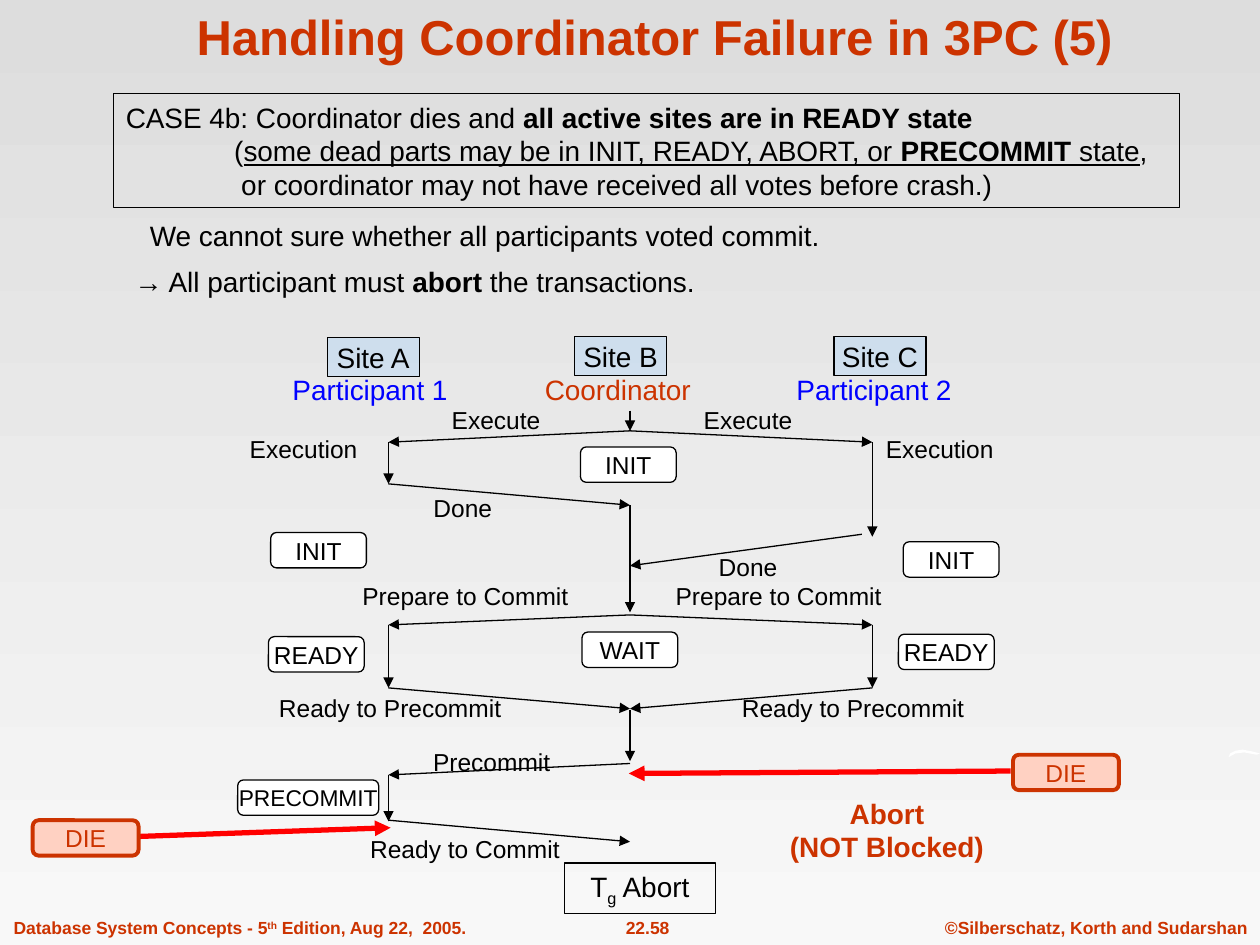
from dataclasses import dataclass
from typing import Optional

from lxml.etree import SubElement
from pptx import Presentation
from pptx.dml.color import RGBColor
from pptx.enum.shapes import MSO_CONNECTOR, MSO_SHAPE
from pptx.enum.text import MSO_ANCHOR, MSO_AUTO_SIZE, PP_ALIGN
from pptx.oxml.ns import qn
from pptx.util import Pt

BLACK = RGBColor(0x00, 0x00, 0x00)
WHITE = RGBColor(0xFF, 0xFF, 0xFF)
RUST = RGBColor(0xCC, 0x33, 0x00)
BLUE = RGBColor(0x00, 0x00, 0xFF)
RED = RGBColor(0xFF, 0x00, 0x00)
SKY = RGBColor(0x99, 0xCC, 0xFF)
PEACH = RGBColor(0xFF, 0xD1, 0xC2)
GRADIENT = (RGBColor(0xDD, 0xDD, 0xDD), RGBColor(0xF8, 0xF8, 0xF8))
FONT = "Arial"

# Timelines of the three sites
SITE_A, SITE_B, SITE_C = 222, 360, 498.5


@dataclass
class Words:
    text: str
    bold: bool = False
    underline: bool = False
    baseline: int = 0  # percent; positive raises


@dataclass
class Label:
    text: str
    center: float
    middle: float
    size: float = 14
    color: RGBColor = BLACK


@dataclass
class Box:
    words: list[Words]
    left: float
    top: float
    width: float = 54.7
    height: float = 20.2
    size: float = 14
    color: RGBColor = BLACK
    fill: Optional[RGBColor] = WHITE
    line: RGBColor = BLACK
    weight: float = 0.75
    kind: MSO_SHAPE = MSO_SHAPE.ROUNDED_RECTANGLE
    opacity: int = 100


@dataclass
class Arrow:
    x1: float
    y1: float
    x2: float
    y2: float
    color: RGBColor = BLACK
    weight: float = 0.75


def add_words(paragraph, words: list[Words], size: float, color: RGBColor) -> None:
    for part in words:
        run = paragraph.add_run()
        run.text = part.text
        font = run.font
        font.name, font.size, font.bold = FONT, Pt(size), part.bold
        font.underline = part.underline
        font.color.rgb = color
        if part.baseline:
            run._r.get_or_add_rPr().set("baseline", str(part.baseline * 1000))


def add_lines(frame, lines: list[list[Words]], size: float, color: RGBColor,
              align=PP_ALIGN.LEFT, indents: tuple = ()) -> None:
    for i, words in enumerate(lines):
        paragraph = frame.paragraphs[0] if i == 0 else frame.add_paragraph()
        paragraph.alignment = align
        if indents:
            paragraph._p.get_or_add_pPr().set("marL", str(Pt(indents[i])))
        add_words(paragraph, words, size, color)


def add_text(slide, left, top, width, height, lines, size, color,
             align=PP_ALIGN.LEFT, indents=(), wrap=False):
    frame = slide.shapes.add_textbox(Pt(left), Pt(top), Pt(width), Pt(height)).text_frame
    frame.word_wrap = wrap
    add_lines(frame, lines, size, color, align, indents)
    return frame


def add_label(slide, label: Label) -> None:
    width, height = len(label.text) * label.size * 0.52 + 8, label.size * 1.2
    frame = add_text(slide, label.center - width / 2, label.middle - height / 2, width,
                     height, [[Words(label.text)]], label.size, label.color, PP_ALIGN.CENTER)
    frame.margin_top = frame.margin_bottom = frame.margin_left = frame.margin_right = 0
    frame.vertical_anchor = MSO_ANCHOR.MIDDLE


def add_box(slide, box: Box):
    shape = slide.shapes.add_shape(box.kind, Pt(box.left), Pt(box.top),
                                   Pt(box.width), Pt(box.height))
    shape.shadow.inherit = False
    if box.fill is None:
        shape.fill.background()
    else:
        shape.fill.solid()
        shape.fill.fore_color.rgb = box.fill
        if box.opacity < 100:
            color = shape._element.spPr.find(qn("a:solidFill"))[0]
            SubElement(color, qn("a:alpha")).set("val", str(box.opacity * 1000))
    shape.line.color.rgb = box.line
    shape.line.width = Pt(box.weight)
    frame = shape.text_frame
    frame.word_wrap = False
    frame.vertical_anchor = MSO_ANCHOR.MIDDLE
    if box.words:
        add_lines(frame, [box.words], box.size, box.color, PP_ALIGN.CENTER)
    return shape


def add_arrow(slide, arrow: Arrow) -> None:
    connector = slide.shapes.add_connector(MSO_CONNECTOR.STRAIGHT, Pt(arrow.x1), Pt(arrow.y1),
                                           Pt(arrow.x2), Pt(arrow.y2))
    connector.line.color.rgb = arrow.color
    connector.line.width = Pt(arrow.weight)
    SubElement(connector.line._get_or_add_ln(), qn("a:tailEnd")).set("type", "triangle")
    SubElement(connector._element.spPr, qn("a:effectLst"))


def site(name: str, left: float, top: float) -> Box:
    return Box([Words(name)], left, top, 52.6, 22.3, 16, fill=SKY,
               kind=MSO_SHAPE.RECTANGLE, opacity=30)


def die(left: float, top: float) -> Box:
    return Box([Words("DIE")], left, top, 60.5, color=RUST, fill=PEACH, line=RUST, weight=2.25)


LABELS = [
    Label("Participant 1", 211.5, 222.3, 16, BLUE),
    Label("Coordinator", 353, 222.3, 16, RUST),
    Label("Participant 2", 499.5, 222.3, 16, BLUE),
    Label("Execute", 283.5, 240), Label("Execute", 427.5, 240),
    Label("Execution", 173.5, 256.6), Label("Execution", 537, 256.6),
    Label("Done", 264.5, 290.3), Label("Done", 427.5, 324),
    Label("Prepare to Commit", 266, 340.6), Label("Prepare to Commit", 445, 340.6),
    Label("Ready to Precommit", 223, 404.6), Label("Ready to Precommit", 487.5, 404.6),
    Label("Precommit", 281, 435), Label("Ready to Commit", 265.7, 485),
]

ARROWS = [
    # Execute and done
    Arrow(SITE_B, 234.7, SITE_B, 246.2),
    Arrow(SITE_B, 246.2, SITE_A, 252.7), Arrow(SITE_B, 246.2, SITE_C, 252.7),
    Arrow(SITE_A, 252.7, SITE_A, 276.5), Arrow(SITE_C, 252.7, SITE_C, 306.7),
    Arrow(SITE_A, 276.5, SITE_B, 288.7), Arrow(492.5, 305.3, SITE_B, 323.3),
    Arrow(SITE_B, 288.7, SITE_B, 350),
    # Prepare and ready
    Arrow(SITE_B, 351.4, SITE_A, 357.1), Arrow(SITE_B, 351.4, SITE_C, 357.1),
    Arrow(SITE_A, 357.1, SITE_A, 393.1), Arrow(SITE_C, 357.1, SITE_C, 393.1),
    Arrow(SITE_A, 393.1, SITE_B, 405), Arrow(SITE_C, 393.1, SITE_B, 405),
    Arrow(SITE_B, 406, SITE_B, 435),
    # Precommit and failures
    Arrow(SITE_B, 436.3, SITE_A, 442.8), Arrow(SITE_A, 442.8, SITE_A, 469.4),
    Arrow(SITE_A, 468.7, SITE_B, 481),
    Arrow(577.5, 440.6, 359.3, 442, RED, 3), Arrow(79.2, 478, 223.2, 473, RED, 3),
]

BOXES = [
    site("Site A", 187, 192.8), site("Site B", 328.3, 192.2), site("Site C", 476.6, 192.2),
    Box([Words("INIT")], 331.7, 255.4), Box([Words("INIT")], 154.7, 304.3),
    Box([Words("INIT")], 516.2, 309.6), Box([Words("WAIT")], 332.6, 361.2),
    Box([Words("READY")], 153.4, 363.8), Box([Words("READY")], 513.4, 362.4),
    Box([Words("PRECOMMIT")], 135.8, 445.7, 80.6, size=13),
    die(578.9, 431.3), die(18.7, 468.7),
    Box([Words("T"), Words("g", baseline=-25), Words(" Abort")], 322.5, 493.2, 86.4, 28.8,
        16, fill=None, kind=MSO_SHAPE.RECTANGLE),
]

CASE = [
    [Words("CASE 4b: Coordinator dies and "), Words("all active sites are in READY state", True)],
    [Words("("), Words("some dead parts may be in INIT, READY, ABORT, or ", underline=True),
     Words("PRECOMMIT", True, True), Words(" state", underline=True), Words(",")],
    [Words("or coordinator may not have received all votes before crash.)")],
]
CONCLUSION = [
    [Words("We cannot sure whether all participants voted commit.")],
    [Words("→ All participant must "), Words("abort", True), Words(" the transactions.")],
]


def main() -> None:
    deck = Presentation()
    deck.slide_width, deck.slide_height = Pt(720), Pt(540)
    slide = deck.slides.add_slide(deck.slide_layouts[5])

    # Background
    backdrop = slide.background.fill
    backdrop.gradient()
    backdrop.gradient_angle = 270
    for stop, color in zip(backdrop.gradient_stops, GRADIENT):
        stop.color.rgb = color

    # White sliver at the right edge
    sliver = slide.shapes.build_freeform(Pt(702), Pt(432.7))
    sliver.add_line_segments([(Pt(x), Pt(y)) for x, y in (
        (703, 430.5), (706, 429), (710, 428.4), (715, 429.3), (720, 430.6), (718, 431.3),
        (711, 430), (706, 430.6))])
    edge = sliver.convert_to_shape()
    edge.shadow.inherit = False
    edge.fill.solid()
    edge.fill.fore_color.rgb = WHITE
    edge.line.fill.background()

    # Title
    title = slide.shapes.title
    title.left, title.top, title.width, title.height = Pt(56.2), Pt(11.5), Pt(635.8), Pt(29.5)
    title.text_frame.auto_size = MSO_AUTO_SIZE.NONE
    title.text_frame.vertical_anchor = MSO_ANCHOR.BOTTOM
    add_lines(title.text_frame, [[Words("Handling Coordinator Failure in 3PC (5)", True)]],
              28, RUST, PP_ALIGN.CENTER)

    # Case and conclusion
    case = add_box(slide, Box([], 64.8, 53.3, 609.1, 65.5, fill=None, kind=MSO_SHAPE.RECTANGLE))
    case.text_frame.word_wrap = True
    add_lines(case.text_frame, CASE, 16, BLACK, indents=(0, 62, 66))
    conclusion = add_text(slide, 69.8, 121.7, 416.9, 54, CONCLUSION, 16, BLACK,
                          indents=(8.7, 0), wrap=True)
    for paragraph in conclusion.paragraphs:
        paragraph.line_spacing = Pt(19)
    conclusion.paragraphs[1].space_before = Pt(7)

    # Message diagram
    for label in LABELS:
        add_label(slide, label)
    for arrow in ARROWS:
        add_arrow(slide, arrow)
    for box in BOXES:
        add_box(slide, box)
    add_text(slide, 444.2, 451.4, 125.3, 46.1, [[Words("Abort", True)],
             [Words("(NOT Blocked)", True)]], 16, RUST, PP_ALIGN.CENTER)

    # Footer
    edition = [Words("Database System Concepts - 5", True), Words("th", True, baseline=30),
               Words(" Edition, Aug 22,  2005.", True)]
    for left, width, words, align in (
            (0.7, 272.9, edition, PP_ALIGN.LEFT),
            (331.9, 76.3, [Words("22.58", True)], PP_ALIGN.CENTER),
            (532.8, 187.2, [Words("©Silberschatz, Korth and Sudarshan", True)], PP_ALIGN.CENTER)):
        add_text(slide, left, 520.6, width, 19.4, [words], 10, RUST, align)

    deck.save("out.pptx")


if __name__ == "__main__":
    main()
